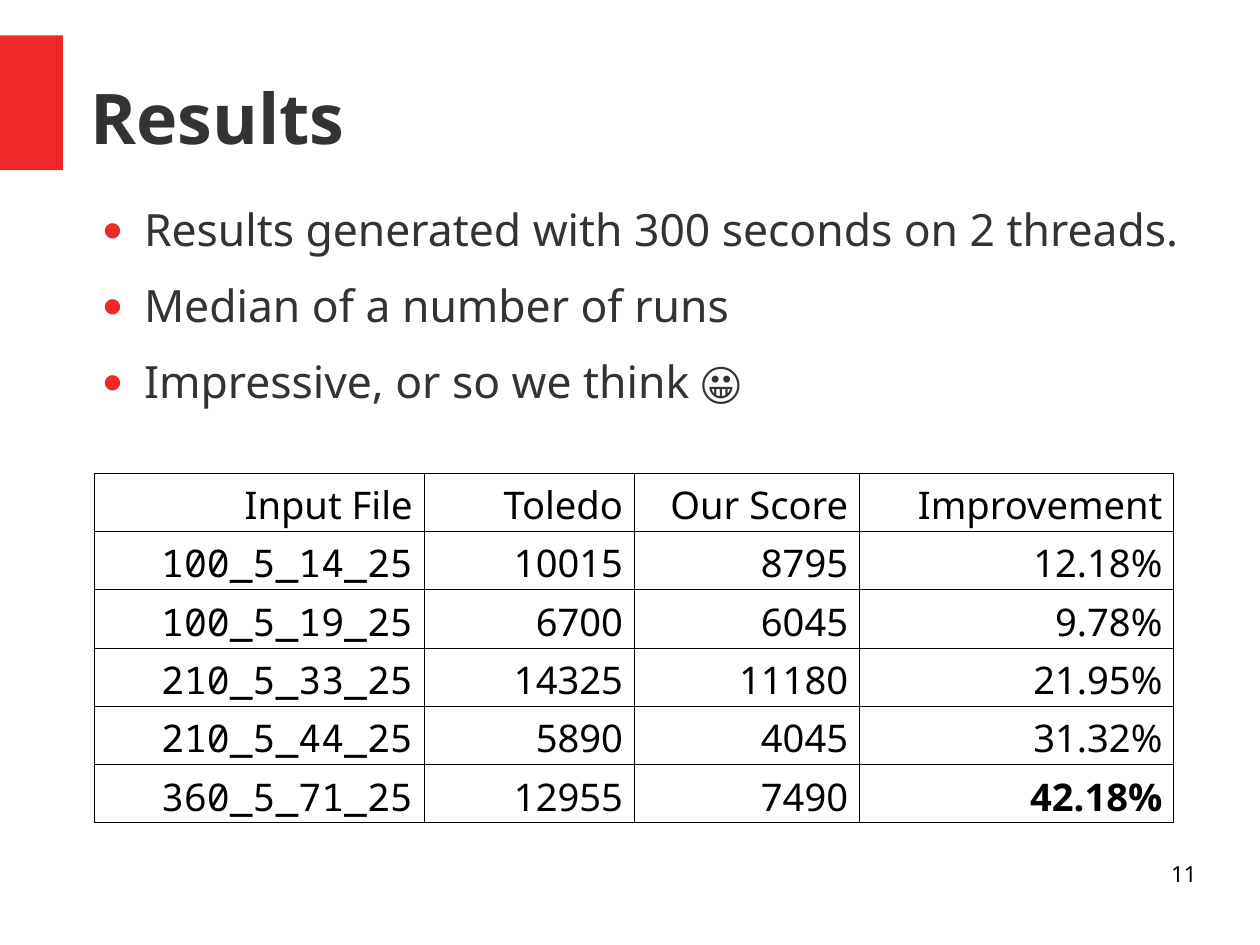
from dataclasses import dataclass

from lxml.etree import SubElement
from pptx import Presentation
from pptx.dml.color import RGBColor as Rgb
from pptx.enum.shapes import MSO_SHAPE as Shape
from pptx.enum.text import MSO_ANCHOR as Anchor, MSO_AUTO_SIZE as Fit, PP_ALIGN as Align
from pptx.oxml import parse_xml
from pptx.oxml.ns import nsdecls, qn
from pptx.util import Cm, Inches, Pt

TITLE = "Results"
POINTS = [
    "Results generated with 300 seconds on 2 threads.",
    "Median of a number of runs",
    "Impressive, or so we think 😀",
]
HEAD = ("Input File", "Toledo", "Our Score", "Improvement")
SCORES = [
    ("100_5_14_25", "10015", "8795", "12.18%"),
    ("100_5_19_25", "6700", "6045", "9.78%"),
    ("210_5_33_25", "14325", "11180", "21.95%"),
    ("210_5_44_25", "5890", "4045", "31.32%"),
    ("360_5_71_25", "12955", "7490", "42.18%"),
]
BEST = "42.18%"
NUMBER = "11"
WIDTHS = (2.88, 1.84, 1.97, 2.75)
ROW = 0.51


@dataclass(frozen=True)
class Theme:
    red: str = "EF2929"
    dark: str = "333333"
    black: str = "000000"
    sans: str = "Noto Sans"
    mono: str = "Noto Sans Mono"
    title: int = 44
    body: int = 28
    cell: int = 24
    small: int = 14
    rule: float = 0.57


theme = Theme()


def style(para, size, color, name=theme.sans, bold=False, align=Align.LEFT):
    para.alignment = align
    form = {"size": Pt(size), "name": name, "bold": bold}
    for run in para.runs:
        for key, value in form.items():
            setattr(run.font, key, value)
        run.font.color.rgb = Rgb.from_string(color)


def setup(frame, anchor=Anchor.TOP):
    """Clear the margins of a text frame and fix its size."""
    form = {"word_wrap": True, "auto_size": Fit.NONE, "vertical_anchor": anchor}
    form.update({f"margin_{side}": 0 for side in ("left", "top", "right", "bottom")})
    for key, value in form.items():
        setattr(frame, key, value)


def bullet(para):
    props = para._p.get_or_add_pPr()
    props.set("marL", str(Inches(0.47)))
    props.set("indent", str(Inches(-0.35)))
    color = SubElement(props, qn("a:buClr"))
    SubElement(color, qn("a:srgbClr"), val=theme.red)
    SubElement(props, qn("a:buSzPct"), val="45000")
    SubElement(props, qn("a:buFont"), typeface=theme.sans)
    SubElement(props, qn("a:buChar"), char="●")


def border(cell):
    props = cell._tc.get_or_add_tcPr()
    for spot, side in enumerate("LRTB"):
        props.insert(spot, parse_xml(
            f'<a:ln{side} {nsdecls("a")} w="{Pt(theme.rule)}"><a:solidFill>'
            f'<a:srgbClr val="{theme.black}"/></a:solidFill></a:ln{side}>'))


def add_bar(slide):
    bar = slide.shapes.add_shape(
        Shape.RECTANGLE, 0, Inches(0.31), Inches(0.55), Inches(1.18))
    bar.shadow.inherit = False
    bar.fill.solid()
    bar.fill.fore_color.rgb = Rgb.from_string(theme.red)
    bar.line.fill.background()


def add_title(slide):
    title = slide.shapes.title
    place = {"left": 0.79, "top": 0.33, "width": 9.68, "height": 1.38}
    for key, value in place.items():
        setattr(title, key, Inches(value))
    title.text_frame.text = TITLE
    setup(title.text_frame, Anchor.MIDDLE)
    style(title.text_frame.paragraphs[0], theme.title, theme.dark, bold=True)


def add_table(slide):
    rows = [HEAD, *SCORES]
    table = slide.shapes.add_table(
        len(rows), len(HEAD), Inches(0.83), Inches(4.14),
        Inches(sum(WIDTHS)), Inches(ROW * len(rows))).table
    table.first_row = table.horz_banding = False
    for col, width in zip(table.columns, WIDTHS):
        col.width = Inches(width)
    for r, row in enumerate(rows):
        table.rows[r].height = Inches(ROW)
        for c, text in enumerate(row):
            cell = table.cell(r, c)
            cell.text = text
            cell.margin_bottom = 0
            cell.fill.background()
            border(cell)
            name = theme.mono if r and c == 0 else theme.sans
            style(cell.text_frame.paragraphs[0], theme.cell, theme.black,
                  name, text == BEST, Align.RIGHT)


def add_text(slide, box, lines):
    """Add a text box and return its paragraphs."""
    frame = slide.shapes.add_textbox(*map(Inches, box)).text_frame
    setup(frame)
    frame.text = "\n".join(lines)
    return frame.paragraphs


def main():
    deck = Presentation()
    deck.slide_width, deck.slide_height = Cm(28), Cm(21)
    slide = deck.slides.add_slide(deck.slide_layouts[5])
    add_bar(slide)
    add_title(slide)
    add_table(slide)
    for para in add_text(slide, (0.79, 1.77, 9.84, 1.93), POINTS):
        bullet(para)
        para.space_after = Pt(14.1)
        style(para, theme.body, theme.dark)
    page = add_text(slide, (7.9, 7.53, 2.57, 0.57), [NUMBER])[0]
    style(page, theme.small, theme.black, align=Align.RIGHT)
    deck.save("out.pptx")


if __name__ == "__main__":
    main()
